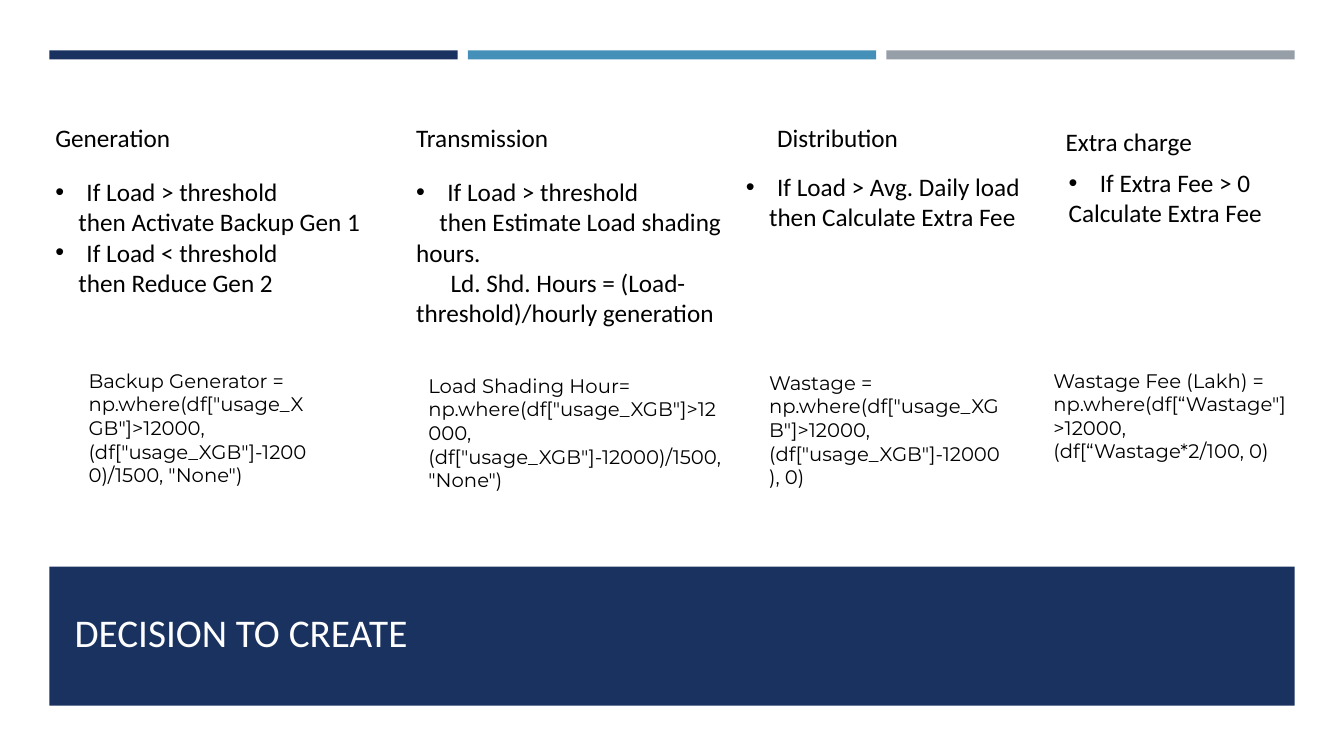
from lxml.etree import SubElement
from pptx import Presentation
from pptx.dml.color import RGBColor
from pptx.enum.shapes import MSO_SHAPE
from pptx.enum.text import MSO_ANCHOR, MSO_AUTO_SIZE, PP_ALIGN
from pptx.oxml.ns import qn
from pptx.util import Inches, Pt

COLORS = {"navy": "1A3260", "blue": "4590B8", "gray": "969FA7",
          "white": "FFFEFF", "black": "000000"}

BULLET = "bullet"

COLUMNS = [
    {"heading": ("Generation", (0.45, 1.16, 2.43, 0.4)),
     "rules": ([("If Load > threshold", BULLET),
                ("then Activate Backup Gen 1", 0.23),
                ("If Load < threshold", BULLET),
                ("then Reduce Gen 2", 0.23)], (0.45, 1.7, 3.5, 1.62)),
     "code": ('Backup Generator = np.where(df["usage_XGB"]>12000, '
              '(df["usage_XGB"]-12000)/1500, "None")',
              (0.78, 3.61, 2.41, 1.28))},
    {"heading": ("Transmission", (4.03, 1.16, 2.43, 0.4)),
     "rules": ([("If Load > threshold", BULLET),
                ("then Estimate Load shading hours.", 0.23),
                ("Ld. Shd. Hours = (Load-threshold)/hourly generation", 0.34)],
               (4.03, 1.7, 3.5, 1.62)),
     "code": ('Load Shading Hour= np.where(df["usage_XGB"]>12000, '
              '(df["usage_XGB"]-12000)/1500, "None")',
              (4.15, 3.66, 3.11, 1.04))},
    {"heading": ("Distribution", (7.61, 1.16, 1.75, 0.4)),
     "rules": ([("If Load > Avg. Daily load", BULLET),
                ("then Calculate Extra Fee", 0.23)], (7.3, 1.65, 3.06, 0.71)),
     "code": ('Wastage = np.where(df["usage_XGB"]>12000, '
              '(df["usage_XGB"]-12000), 0)', (7.53, 3.63, 2.51, 1.28))},
    {"heading": ("Extra charge", (10.47, 1.2, 1.75, 0.4)),
     "rules": ([("If Extra Fee > 0", BULLET), ("Calculate Extra Fee", 0)],
               (10.5, 1.61, 2.58, 0.71)),
     "code": ('Wastage Fee (Lakh) = np.where(df[“Wastage"]>12000, '
              '(df[“Wastage*2/100, 0)', (10.35, 3.61, 2.51, 1.04))},
]


class SlideBuilder:
    """Hold the text styles and the current slide."""

    styles = {
        "title": {"name": "Calibri", "size": Pt(28), "color": "white"},
        "body": {"name": "Calibri", "size": Pt(18), "color": "black"},
        "code": {"name": "Montserrat", "size": Pt(14), "color": "black"},
    }
    bullet_indent = 0.31

    def __init__(self, slide):
        """Keep the slide to draw on."""
        self.slide = slide

    def apply(self, target, values):
        """Set every attribute named in a dict of values."""
        for name, value in values.items():
            setattr(target, name, value)

    def add_span(self, para, text, style):
        """Add one styled span of text to a paragraph."""
        span = para.add_run()
        span.text = text
        values = dict(self.styles[style])
        span.font.color.rgb = RGBColor.from_string(COLORS[values.pop("color")])
        self.apply(span.font, values)

    def bar(self, color, place):
        """Draw a plain filled rectangle."""
        shape = self.slide.shapes.add_shape(
            MSO_SHAPE.RECTANGLE, *map(Inches, place))
        shape.shadow.inherit = False
        shape.fill.solid()
        shape.fill.fore_color.rgb = RGBColor.from_string(COLORS[color])
        shape.line.fill.background()

    def title(self, text, place):
        """Place the title in front of the shapes drawn so far."""
        title = self.slide.shapes.title
        self.apply(title, dict(zip(("left", "top", "width", "height"),
                                   map(Inches, place))))
        self.apply(title.text_frame, {"vertical_anchor": MSO_ANCHOR.BOTTOM,
                                      "word_wrap": True,
                                      "auto_size": MSO_AUTO_SIZE.NONE})
        para = title.text_frame.paragraphs[0]
        para.alignment = PP_ALIGN.LEFT
        self.add_span(para, text, "title")
        title.element.getparent().append(title.element)

    def indent(self, para, kind):
        """Give a paragraph a hanging bullet or a first-line indent."""
        properties = para._p.get_or_add_pPr()
        if kind == BULLET:
            properties.set("marL", str(Inches(self.bullet_indent)))
            properties.set("indent", str(-Inches(self.bullet_indent)))
            SubElement(properties, qn("a:buFont"), typeface="Arial")
            SubElement(properties, qn("a:buChar"), char="•")
        elif kind:
            properties.set("indent", str(Inches(kind)))

    def text(self, lines, place, style="body"):
        """Add a wrapping text box with one paragraph per line."""
        box = self.slide.shapes.add_textbox(*map(Inches, place))
        frame = box.text_frame
        self.apply(frame, {"word_wrap": True,
                           "auto_size": MSO_AUTO_SIZE.SHAPE_TO_FIT_TEXT})
        for index, (line, kind) in enumerate(lines):
            para = frame.add_paragraph() if index else frame.paragraphs[0]
            self.indent(para, kind)
            self.add_span(para, line, style)


def main():
    """Build and save the slide."""
    deck = Presentation()
    deck.slide_width, deck.slide_height = Inches(13.33), Inches(7.5)
    builder = SlideBuilder(deck.slides.add_slide(deck.slide_layouts[5]))
    for index, color in enumerate(("navy", "blue", "gray")):
        builder.bar(color, (0.49 + 4.15 * index, 0.5, 4.05, 0.09))
    builder.bar("navy", (0.49, 5.62, 12.35, 1.38))
    builder.title("DECISION TO CREATE", (0.64, 5.76, 12.06, 0.79))
    for column in COLUMNS:
        heading, place = column["heading"]
        builder.text([(heading, 0)], place)
        builder.text(*column["rules"])
    for column in COLUMNS:
        code, place = column["code"]
        builder.text([(code, 0)], place, "code")
    deck.save("out.pptx")


if __name__ == "__main__":
    main()
